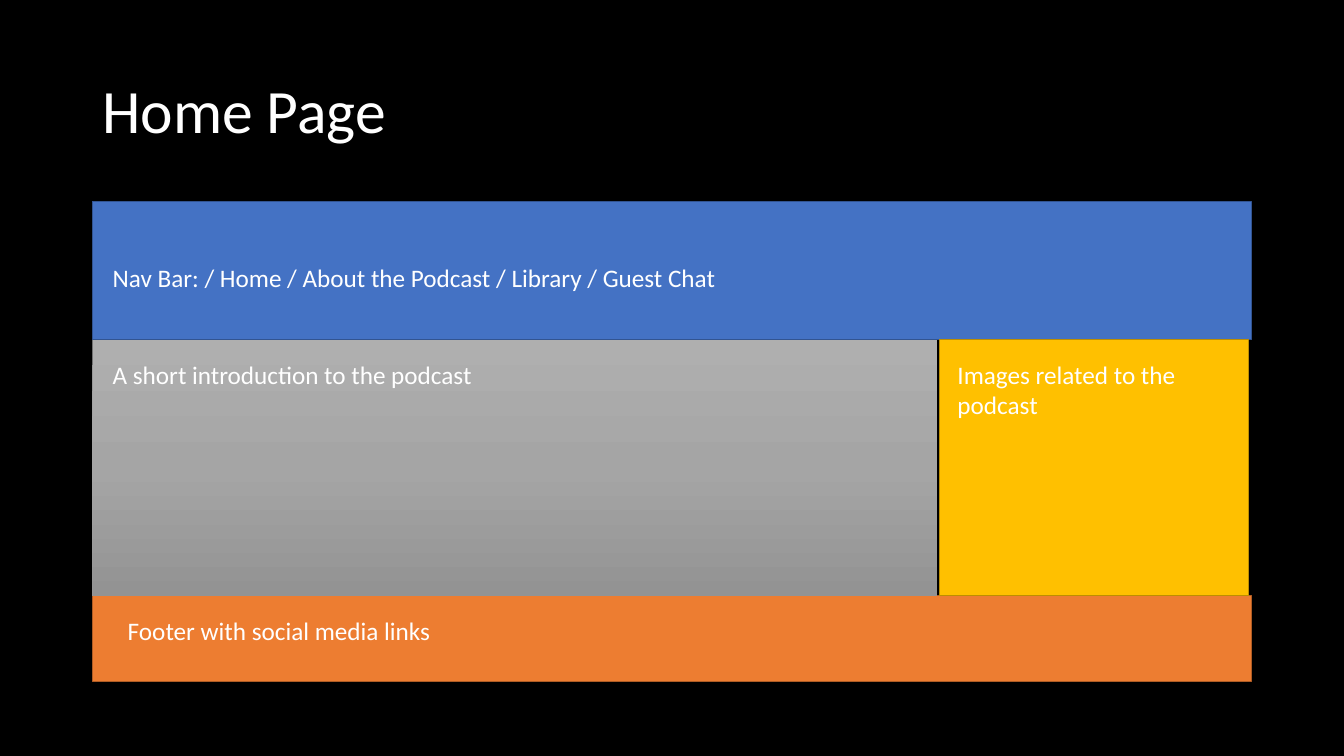
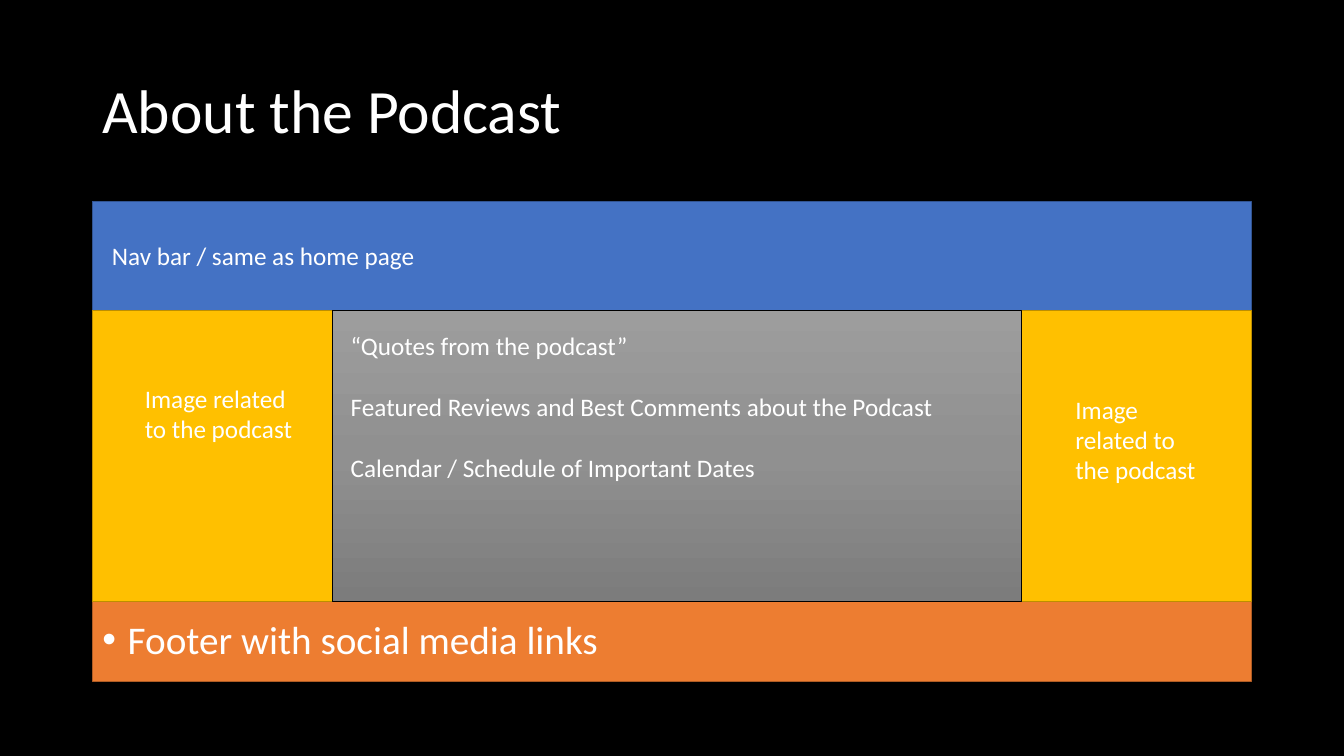
from copy import deepcopy

from pptx import Presentation
from pptx.dml.color import RGBColor
from pptx.enum.shapes import MSO_SHAPE
from pptx.enum.text import MSO_ANCHOR, PP_ALIGN
from pptx.oxml.ns import qn
from pptx.util import Cm, Pt
from lxml.etree import SubElement

HUES = {
    "back": "000000", "text": "FFFFFF",
    "nav": "4472C4", "nav_edge": "325491",
    "image": "FFC000", "image_edge": "BD8E00",
    "foot": "ED7D31", "foot_edge": "AF5C24",
}
FADES = {
    "intro": ["AFAFAF", "A5A5A5", "939393"],
    "quotes": ["9D9D9D", "909090", "7C7C7C"],
}
FONT = "Calibri"
LEFT, WIDE = 2.33, 29.21
TOP, BASE = 5.08, 17.17


def tint(name):
    return RGBColor.from_string(HUES[name])


def write(frame, lines, size=18, gap=0, ratio=None):
    frame.word_wrap = True
    for i, line in enumerate(lines):
        para = frame.paragraphs[0] if i == 0 else frame.add_paragraph()
        para.alignment = PP_ALIGN.LEFT
        para.line_spacing = ratio
        if i:
            para.space_before = Pt(gap)
        run = para.add_run()
        run.text = line
        run.font.size = Pt(size)
        run.font.name = FONT
        run.font.color.rgb = tint("text")


def add_text(slide, left, top, width, height, *lines, **style):
    box = slide.shapes.add_textbox(Cm(left), Cm(top), Cm(width), Cm(height))
    write(box.text_frame, lines, **style)
    return box


def add_block(slide, left, top, width, height):
    block = slide.shapes.add_shape(
        MSO_SHAPE.RECTANGLE, Cm(left), Cm(top), Cm(width), Cm(height))
    block.shadow.inherit = False
    return block


def add_panel(slide, kind, left, top, width, height):
    panel = add_block(slide, left, top, width, height)
    panel.fill.solid()
    panel.fill.fore_color.rgb = tint(kind)
    panel.line.color.rgb = tint(kind + "_edge")
    panel.line.width = Pt(1)
    return panel


def add_fade(slide, kind, left, top, width, height):
    panel = add_block(slide, left, top, width, height)
    panel.fill.gradient()
    panel.fill.gradient_angle = 270
    stops = panel._element.spPr.find(".//" + qn("a:gsLst"))
    stops.insert(1, deepcopy(stops[0]))
    for i, stop in enumerate(panel.fill.gradient_stops):
        stop.position = i / 2
        stop.color.rgb = RGBColor.from_string(FADES[kind][i])
    panel.line.fill.background()
    return panel


def add_bullet(para):
    props = para._p.get_or_add_pPr()
    props.set("marL", str(Cm(0.64)))
    props.set("indent", str(-Cm(0.64)))
    SubElement(props, qn("a:buFont")).set("typeface", "Arial")
    SubElement(props, qn("a:buChar")).set("char", "•")


def add_page(deck, title, nav, foot):
    slide = deck.slides.add_slide(deck.slide_layouts[6])
    slide.background.fill.solid()
    slide.background.fill.fore_color.rgb = tint("back")
    head = add_text(slide, LEFT, 1.02, WIDE, 3.68, title, size=44, ratio=0.9)
    head.text_frame.vertical_anchor = MSO_ANCHOR.MIDDLE
    add_panel(slide, "nav", LEFT, TOP, WIDE, nav)
    band = add_panel(slide, "foot", LEFT, BASE - foot, WIDE, foot)
    return slide, band


def add_home(deck):
    nav, foot = 3.48, 2.16
    slide, band = add_page(deck, "Home Page", nav, foot)
    top = TOP + nav
    high = BASE - foot - top
    add_text(slide, 2.59, 6.48, 28.75, 1.02,
             "Nav Bar: / Home / About the Podcast / Library / Guest Chat")
    add_fade(slide, "intro", LEFT, top, 21.29, high)
    add_text(slide, 2.59, 8.92, 21.08, 1.02,
             "A short introduction to the podcast")
    add_panel(slide, "image", 23.67, top, 7.8, high)
    add_text(slide, 23.88, 8.92, 7.11, 1.8, "Images related to the podcast")
    add_text(slide, 2.97, 15.37, 16.51, 1.02, "Footer with social media links")


def add_about(deck):
    nav, foot = 2.75, 2.01
    slide, band = add_page(deck, "About the Podcast", nav, foot)
    top = TOP + nav
    high = BASE - foot - top
    write(band.text_frame, ["Footer with social media links"],
          size=28, ratio=0.9)
    add_bullet(band.text_frame.paragraphs[0])
    add_text(slide, 2.57, 5.94, 18.01, 1.02, "Nav bar / same as home page")
    note = "Image related to the podcast"
    add_panel(slide, "image", LEFT, top, 6.05, high)
    add_text(slide, 3.4, 9.53, 4.6, 1.8, note)
    add_panel(slide, "image", 25.68, top, 5.86, high)
    add_text(slide, 26.85, 9.8, 3.94, 2.57, note)
    quotes = add_fade(slide, "quotes", 8.38, top, 17.37, high)
    quotes.line.color.rgb = tint("back")
    quotes.line.width = Pt(0.5)
    add_text(slide, 8.59, 8.2, 16.36, 4.11,
             "“Quotes from the podcast”",
             "Featured Reviews and Best Comments about the Podcast",
             "Calendar / Schedule of Important Dates", gap=22)


def main():
    deck = Presentation()
    deck.slide_width, deck.slide_height = Cm(33.87), Cm(19.05)
    add_home(deck)
    add_about(deck)
    deck.save("out.pptx")


main()
